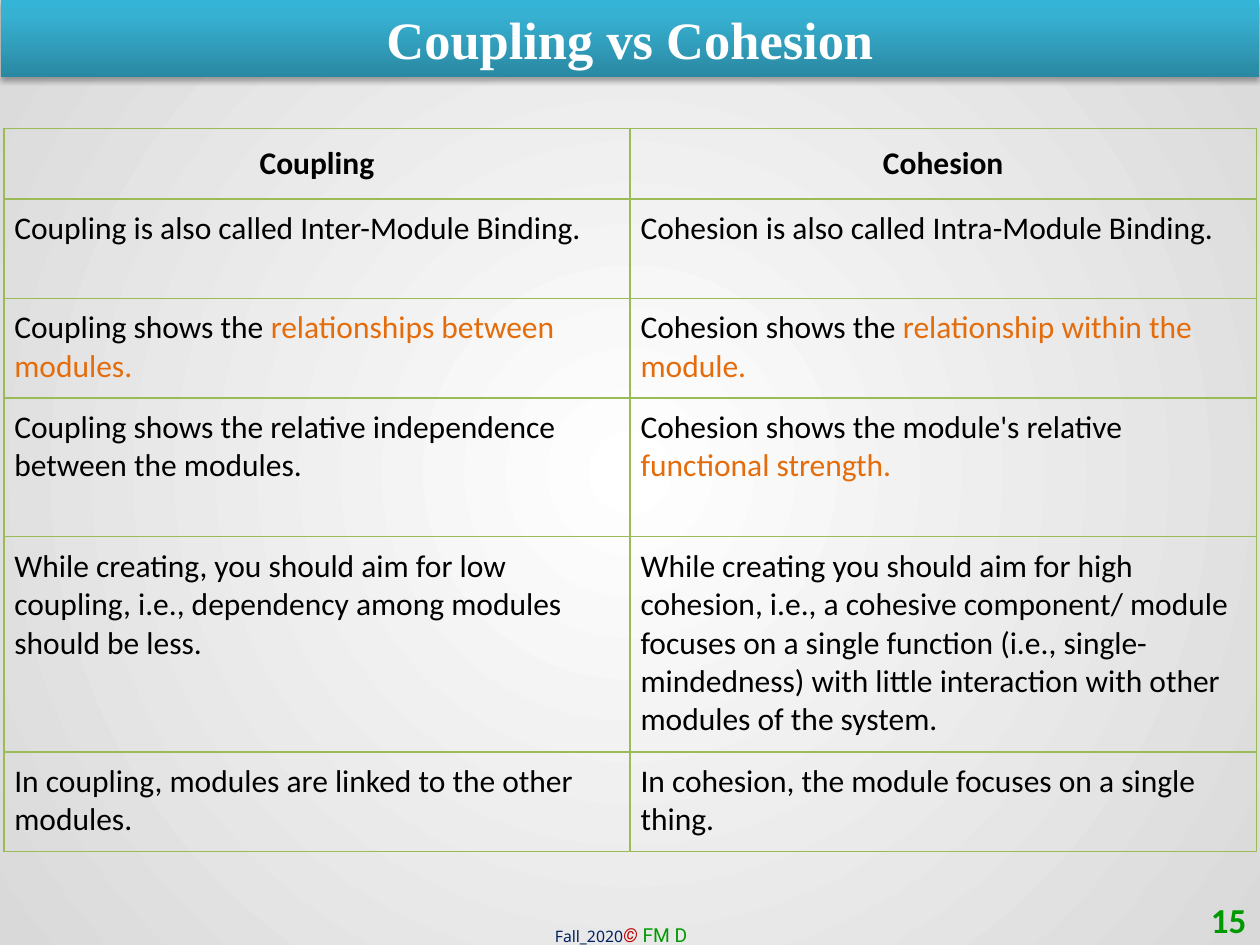
from pptx import Presentation, util as u
from pptx.dml.color import RGBColor
from pptx.enum import text
from pptx.oxml import parse_xml
from pptx.oxml.ns import nsdecls

Pt = u.Pt
WHITE = RGBColor(0xFF, 0xFF, 0xFF)
BLACK = RGBColor(0, 0, 0)
GREEN = RGBColor(0, 0x99, 0)
NAVY = RGBColor(0, 0x20, 0x60)
RED = RGBColor(0xC0, 0, 0)
ORANGE = RGBColor(0xE4, 0x6C, 0x0A)
BORDER = RGBColor(0x9B, 0xBB, 0x59)

TITLE = "Coupling vs Cohesion"
PAGE = "15"
FOOTER = [
    ("Fall_2020", "Noto Sans", 9, NAVY, False),
    ("© ", "Roboto", 11, RED, True),
    ("FM D", "Roboto", 11, GREEN, False),
]
# Each cell is (plain text, highlighted text).
ROWS = [
    (40.3, ("Coupling", ""), ("Cohesion", "")),
    (56.9, ("Coupling is also called Inter-Module Binding.", ""),
     ("Cohesion is also called Intra-Module Binding.", "")),
    (56.9, ("Coupling shows the ", "relationships between modules."),
     ("Cohesion shows the ", "relationship within the module.")),
    (79.2, ("Coupling shows the relative independence between the modules.", ""),
     ("Cohesion shows the module's relative ", "functional strength.")),
    (123.1, ("While creating, you should aim for low coupling, i.e., dependency "
             "among modules should be less.", ""),
     ("While creating you should aim for high cohesion, i.e., a cohesive component/ "
      "module focuses on a single function (i.e., single-mindedness) with little "
      "interaction with other modules of the system.", "")),
    (56.9, ("In coupling, modules are linked to the other modules.", ""),
     ("In cohesion, the module focuses on a single thing.", "")),
]


def set_font(font, name, size, color, bold=False, italic=False):
    font.name, font.size, font.bold, font.italic = name, Pt(size), bold, italic
    font.color.rgb = color


def gradient(stops, direction):
    gs = "".join(f'<a:gs pos="{pos * 1000}"><a:srgbClr val="{color}"/></a:gs>'
                 for pos, color in stops)
    return (f'<a:gradFill {nsdecls("a")} rotWithShape="1"><a:gsLst>{gs}</a:gsLst>'
            f'{direction}</a:gradFill>')


def add_borders(cell):
    pr = cell._tc.get_or_add_tcPr()
    for i, side in enumerate("LRTB"):
        pr.insert(i, parse_xml(
            f'<a:ln{side} {nsdecls("a")} w="{Pt(1)}"><a:solidFill>'
            f'<a:srgbClr val="{BORDER}"/></a:solidFill></a:ln{side}>'))


prs = Presentation()
prs.slide_width, prs.slide_height = Pt(720), Pt(540)
s = prs.slides.add_slide(prs.slide_layouts[5])

radial = ('<a:path path="circle"><a:fillToRect l="50000" t="50000" '
          'r="50000" b="50000"/></a:path>')
s._element.cSld.insert(0, parse_xml(
    f'<p:bg {nsdecls("p", "a")}><p:bgPr>'
    f'{gradient([(0, "FFFFFF"), (100, "D9D9D9")], radial)}'
    '<a:effectLst/></p:bgPr></p:bg>'))

title = s.shapes.title
title.left, title.top, title.width, title.height = Pt(0.7), Pt(0), Pt(718.6), Pt(43.9)
title_pr = title._element.spPr
title_pr.append(parse_xml(gradient(
    [(0, "2A88A2"), (80, "37B1D2"), (100, "34B4D6")],
    '<a:lin ang="16200000" scaled="0"/>')))
title_pr.append(parse_xml(
    f'<a:effectLst {nsdecls("a")}><a:outerShdw blurRad="{Pt(3.1)}" dist="{Pt(1.8)}" '
    'dir="5400000" rotWithShape="0"><a:srgbClr val="000000"><a:alpha val="35000"/>'
    '</a:srgbClr></a:outerShdw></a:effectLst>'))
tf = title.text_frame
tf.text = TITLE
tf.vertical_anchor = text.MSO_ANCHOR.MIDDLE
p = tf.paragraphs[0]
p.alignment = text.PP_ALIGN.CENTER
set_font(p.font, "Times New Roman", 30, WHITE, bold=True)

tf = s.shapes.add_textbox(Pt(310), Pt(524.2), Pt(97), Pt(20.9)).text_frame
tf.word_wrap = False
for words, *style in FOOTER:
    r = tf.paragraphs[0].add_run()
    r.text = words
    set_font(r.font, *style[:3], italic=style[3])

tf = s.shapes.add_textbox(Pt(551.5), Pt(511.2), Pt(167.8), Pt(28.8)).text_frame
tf.word_wrap = True
tf.vertical_anchor = text.MSO_ANCHOR.MIDDLE
tf.text = PAGE
p = tf.paragraphs[0]
p.alignment = text.PP_ALIGN.RIGHT
set_font(p.font, "Calibri", 20, GREEN, bold=True)

table = s.shapes.add_table(len(ROWS), 2, Pt(2.2), Pt(73.4), Pt(715.7),
                           Pt(sum(row[0] for row in ROWS))).table
table.first_row = table.horz_banding = False
for i, (height, *cells) in enumerate(ROWS):
    table.rows[i].height = Pt(height)
    header = i == 0
    inset = Pt(9 if header else 6)
    for j, parts in enumerate(cells):
        cell = table.cell(i, j)
        cell.margin_left = cell.margin_right = inset
        cell.margin_top = cell.margin_bottom = inset
        cell.fill.background()
        add_borders(cell)
        p = cell.text_frame.paragraphs[0]
        p.alignment = text.PP_ALIGN.CENTER if header else text.PP_ALIGN.LEFT
        set_font(p.font, "Calibri", 18, BLACK, bold=header)
        for words, color in zip(parts, (BLACK, ORANGE)):
            if words:
                r = p.add_run()
                r.text = words
                r.font.color.rgb = color

prs.save("out.pptx")
